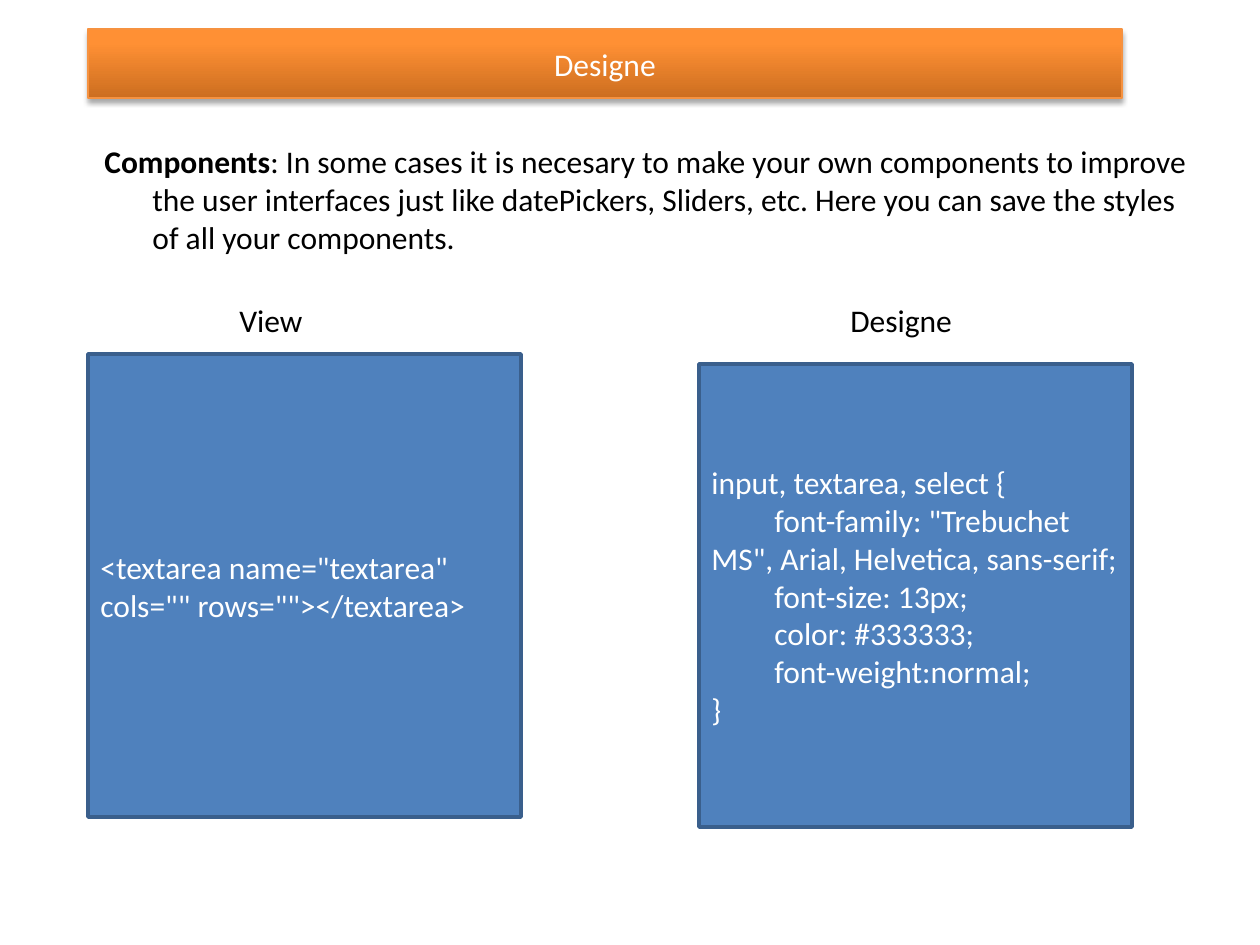
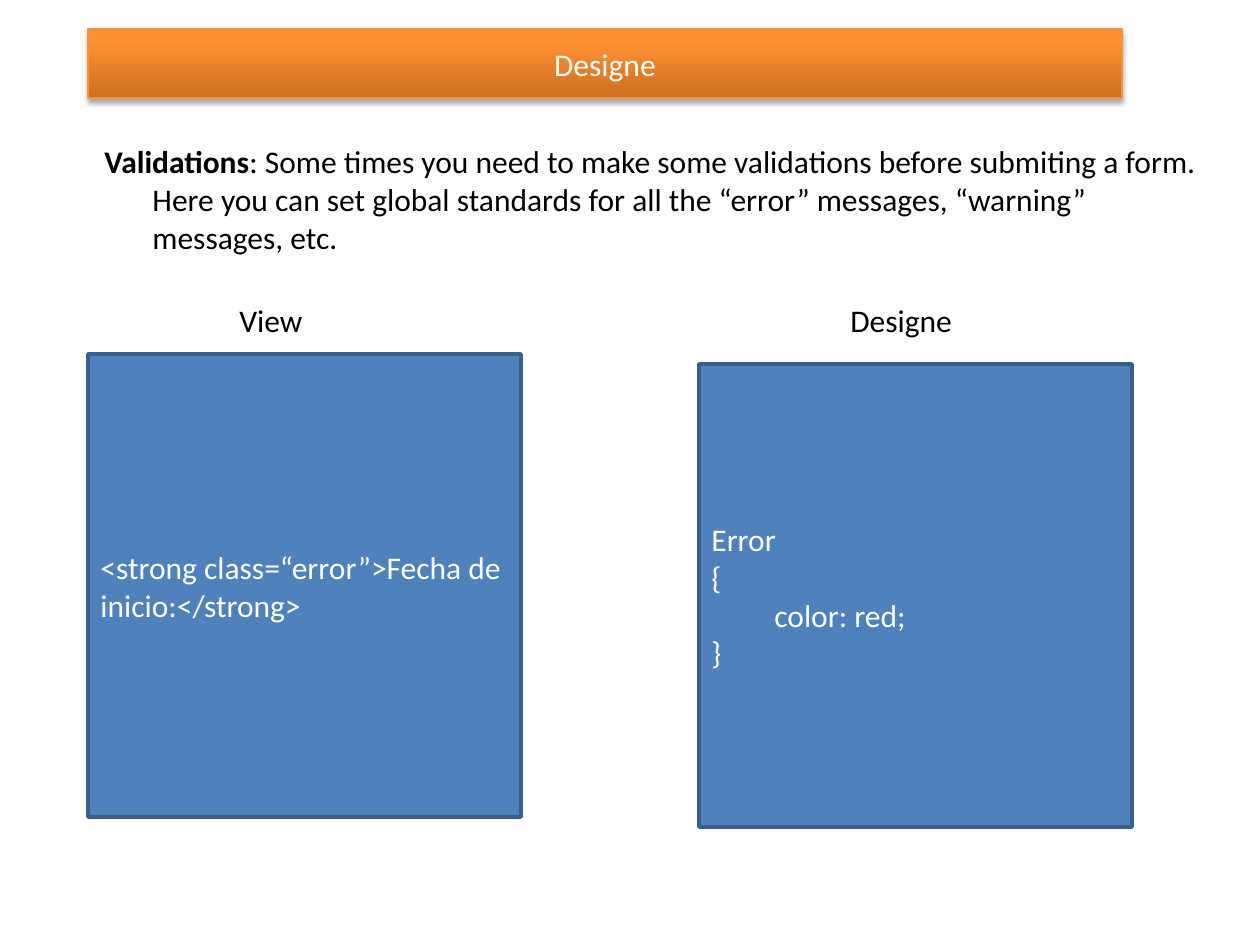
"""Build two slides that pair a page view with its style rules."""
from lxml.etree import SubElement
from pptx import Presentation
from pptx.dml.color import RGBColor
from pptx.enum.shapes import MSO_SHAPE as Shape
from pptx.enum.text import MSO_ANCHOR as Anchor, MSO_AUTO_SIZE as AutoSize, PP_ALIGN as Align
from pptx.oxml.ns import qn
from pptx.util import Emu, Pt

WHITE = RGBColor(0xFF, 0xFF, 0xFF)
BLACK = RGBColor(0x00, 0x00, 0x00)
PANEL_FILL = RGBColor(0x4F, 0x81, 0xBD)
PANEL_LINE = RGBColor(0x3A, 0x5F, 0x8C)
BAND_LINE = RGBColor(0xF6, 0x92, 0x40)
BAND_STOPS = [
    (0, RGBColor(0xCC, 0x6E, 0x20)),
    (80, RGBColor(0xFF, 0x90, 0x34)),
    (100, RGBColor(0xFF, 0x91, 0x36)),
]
FONT = "Calibri"
FONT_SIZE = Pt(18)
EMU_PER_PX = 914400 / 126
PANEL_WIDTH, PANEL_HEIGHT = 433, 463
LABEL_TOP, LABEL_HEIGHT, LABEL_INDENT = 295, 50, 139
COLUMNS = [("View", 88, 354, 89), ("Designe", 699, 364, 129)]

SLIDES = [
    (
        "Components",
        ": In some cases it is necesary to make your own components to improve the user "
        "interfaces just like datePickers, Sliders, etc. Here you can save the styles of "
        "all your components.",
        ['<textarea name="textarea" cols="" rows=""></textarea>'],
        [
            "input, textarea, select {",
            '\tfont-family: "Trebuchet MS", Arial, Helvetica, sans-serif;',
            "\tfont-size: 13px;",
            "\tcolor: #333333;",
            "\tfont-weight:normal;",
            "}",
        ],
    ),
    (
        "Validations",
        ": Some times you need to make some validations before submiting a form. Here you "
        "can set global standards for all the “error” messages, “warning” messages, etc.",
        ["<strong class=“error”>Fecha de inicio:</strong>"],
        ["Error", "{", "\tcolor: red;", "}"],
    ),
]


def px(length):
    """Turn pixels into EMU."""
    return Emu(round(length * EMU_PER_PX))


class Deck:
    """Hold the shared style and the current slide."""

    def __init__(self):
        """Start an empty presentation."""
        self.presentation = Presentation()
        self.presentation.slide_width = px(1260)
        self.presentation.slide_height = px(945)
        self.slide = None

    def add_slide(self, title):
        """Add a slide with its title band."""
        layout = self.presentation.slide_layouts.get_by_name("Title Only")
        self.slide = self.presentation.slides.add_slide(layout)
        self.title_band(title)

    def add_run(self, paragraph, text, color, bold=False):
        """Add one run in the deck's font."""
        run = paragraph.add_run()
        run.text = text
        run.font.name = FONT
        run.font.size = FONT_SIZE
        run.font.bold = bold
        run.font.color.rgb = color

    def title_band(self, text):
        """Turn the title placeholder into a shaded band."""
        band = self.slide.shapes.title
        band.left, band.top, band.width, band.height = map(px, (88, 29, 1034, 69))
        properties = band.element.spPr
        gradient = SubElement(properties, qn("a:gradFill"), rotWithShape="1")
        stops = SubElement(gradient, qn("a:gsLst"))
        for position, color in BAND_STOPS:
            stop = SubElement(stops, qn("a:gs"), pos=str(position * 1000))
            SubElement(stop, qn("a:srgbClr"), val=str(color))
        SubElement(gradient, qn("a:lin"), ang="16200000", scaled="0")
        band.line.color.rgb = BAND_LINE
        band.line.width = Pt(0.75)
        effects = SubElement(properties, qn("a:effectLst"))
        shadow = SubElement(
            effects, qn("a:outerShdw"), blurRad=str(Pt(3.1)), dist=str(Pt(1.8)),
            dir="5400000", rotWithShape="0",
        )
        shadow_color = SubElement(shadow, qn("a:srgbClr"), val=str(BLACK))
        SubElement(shadow_color, qn("a:alpha"), val="35000")
        frame = band.text_frame
        frame.auto_size = AutoSize.NONE
        frame.vertical_anchor = Anchor.MIDDLE
        paragraph = frame.paragraphs[0]
        paragraph.alignment = Align.CENTER
        self.add_run(paragraph, text, WHITE)

    def text_box(self, left, top, width, height, wrap):
        """Add a text box and return its frame."""
        frame = self.slide.shapes.add_textbox(*map(px, (left, top, width, height))).text_frame
        frame.word_wrap = wrap
        return frame

    def introduction(self, term, explanation):
        """Add the hanging paragraph with its bold term."""
        frame = self.text_box(29, 98, 1191, 165, True)
        frame.margin_top = px(44)
        paragraph = frame.paragraphs[0]
        indents = paragraph._p.get_or_add_pPr()
        indents.set("marL", str(px(111)))
        indents.set("indent", str(px(-48)))
        self.add_run(paragraph, term, BLACK, bold=True)
        self.add_run(paragraph, explanation, BLACK)

    def label(self, text, left, width):
        """Add a column label."""
        frame = self.text_box(left, LABEL_TOP, width, LABEL_HEIGHT, False)
        self.add_run(frame.paragraphs[0], text, BLACK)

    def code_panel(self, lines, left, top):
        """Add a blue panel with one paragraph per code line."""
        panel = self.slide.shapes.add_shape(
            Shape.FLOWCHART_PROCESS, *map(px, (left, top, PANEL_WIDTH, PANEL_HEIGHT))
        )
        panel.shadow.inherit = False
        panel.fill.solid()
        panel.fill.fore_color.rgb = PANEL_FILL
        panel.line.color.rgb = PANEL_LINE
        panel.line.width = Pt(2)
        frame = panel.text_frame
        frame.word_wrap = True
        frame.vertical_anchor = Anchor.MIDDLE
        for index, line in enumerate(lines):
            paragraph = frame.add_paragraph() if index else frame.paragraphs[0]
            paragraph.alignment = Align.LEFT
            self.add_run(paragraph, line, WHITE)


def main():
    """Build and save the presentation."""
    deck = Deck()
    for term, explanation, *panels in SLIDES:
        deck.add_slide("Designe")
        deck.introduction(term, explanation)
        for (name, left, top, label_width), lines in zip(COLUMNS, panels):
            deck.code_panel(lines, left, top)
            deck.label(name, left + LABEL_INDENT, label_width)
    deck.presentation.save("out.pptx")


if __name__ == "__main__":
    main()
